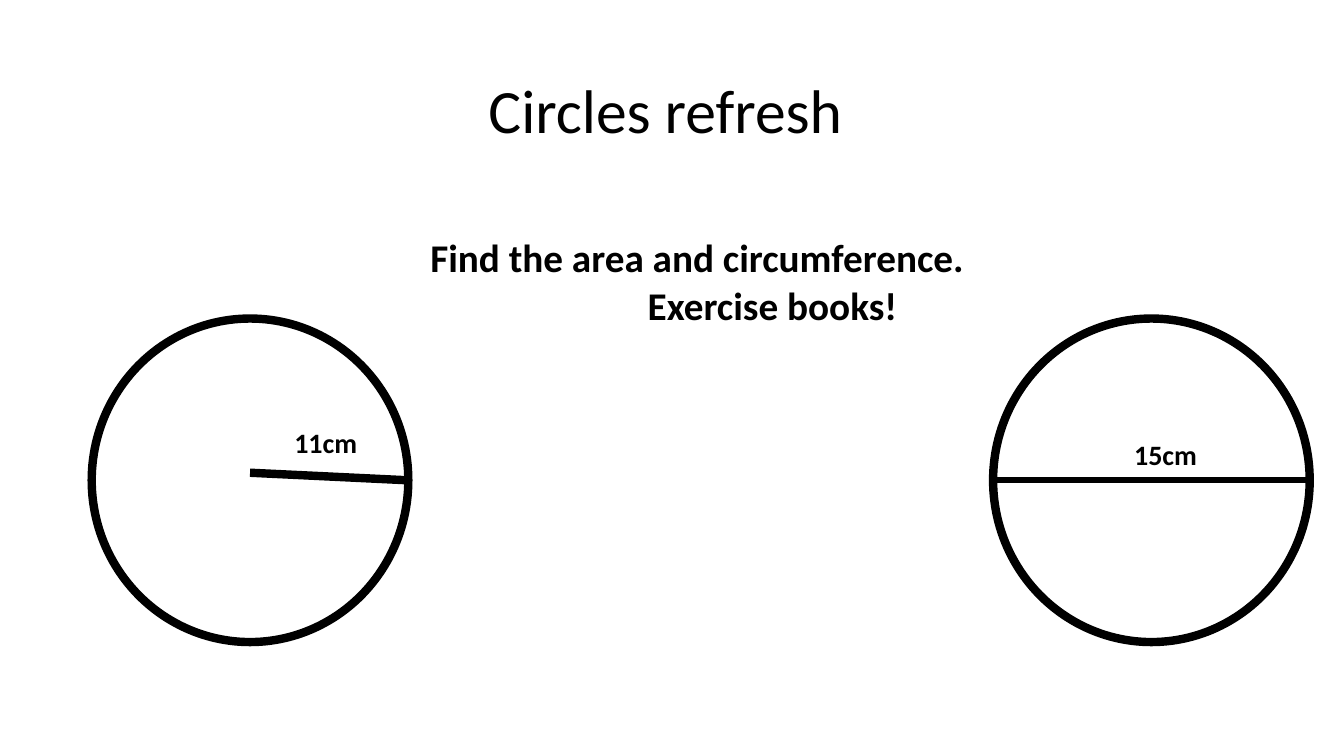
from lxml.etree import SubElement
from pptx import Presentation
from pptx.dml.color import RGBColor
from pptx.enum.shapes import MSO_CONNECTOR, MSO_SHAPE
from pptx.enum.text import MSO_ANCHOR, PP_ALIGN
from pptx.oxml.ns import qn
from pptx.util import Inches, Pt

COLOURS = {"ink": "000000", "paper": "FFFFFF"}
FONT = "Calibri"
CIRCLE_SIZE = (3.14, 3.21)
LABEL_SIZE = (1.09, 0.44)


def colour(name):
    return RGBColor.from_string(COLOURS[name])


def format_paragraph(paragraph, text, size, bold=False, align=PP_ALIGN.LEFT):
    paragraph.text = text
    paragraph.alignment = align
    values = {"name": FONT, "size": Pt(size), "bold": bold}
    for name, value in values.items():
        setattr(paragraph.font, name, value)
    paragraph.font.color.rgb = colour("ink")


def place(shape, box):
    for name, value in zip(("left", "top", "width", "height"), box):
        setattr(shape, name, Inches(value))


def add_title(slide, box):
    title = slide.shapes.title
    place(title, box)
    title.text_frame.vertical_anchor = MSO_ANCHOR.MIDDLE
    paragraph = title.text_frame.paragraphs[0]
    format_paragraph(paragraph, "Circles refresh ", 44, align=PP_ALIGN.CENTER)
    paragraph.line_spacing = 0.9


def add_text(slide, box, lines, size):
    """Add a bold text box; lines holds (text, alignment) pairs."""
    frame = slide.shapes.add_textbox(*map(Inches, box)).text_frame
    frame.word_wrap = True
    for index, (text, align) in enumerate(lines):
        paragraph = frame.add_paragraph() if index else frame.paragraphs[0]
        format_paragraph(paragraph, text, size, True, align)


def style_line(line, width):
    line.color.rgb = colour("ink")
    line.width = Pt(width)


def add_measured_circle(slide, box, start, end, line_width, label, label_offset):
    """Add a circle with a measured line; start, end and label_offset are relative to box."""
    left, top, width, height = box
    circle = slide.shapes.add_shape(MSO_SHAPE.OVAL, *map(Inches, box))
    circle.shadow.inherit = False
    circle.fill.background()
    style_line(circle.line, 6)

    points = [left + start[0], top + start[1], left + end[0], top + end[1]]
    measure = slide.shapes.add_connector(MSO_CONNECTOR.STRAIGHT, *map(Inches, points))
    style_line(measure.line, line_width)
    SubElement(measure._element.spPr, qn("a:effectLst"))

    label_box = (left + label_offset[0], top + label_offset[1], *LABEL_SIZE)
    add_text(slide, label_box, [(label, PP_ALIGN.LEFT)], 20)


def main():
    presentation = Presentation()
    presentation.slide_width = Inches(13.33)
    presentation.slide_height = Inches(7.5)
    slide = presentation.slides.add_slide(presentation.slide_layouts[5])
    slide.background.fill.solid()
    slide.background.fill.fore_color.rgb = colour("paper")

    add_title(slide, (0.92, 0.4, 11.5, 1.45))
    width, height = CIRCLE_SIZE
    middle = height / 2
    add_measured_circle(slide, (0.91, 3.16, width, height), (width / 2, 1.53),
                        (width, middle), 6, "11cm", (1.91, 1.01))
    add_measured_circle(slide, (9.85, 3.16, width, height), (0, middle),
                        (width, middle), 4.5, "15cm", (1.3, 1.13))
    instructions = [("Find the area and circumference.", PP_ALIGN.LEFT),
                    ("Exercise books! ", PP_ALIGN.CENTER)]
    add_text(slide, (4.17, 2.27, 7.07, 1.04), instructions, 28)
    presentation.save("out.pptx")


if __name__ == "__main__":
    main()
